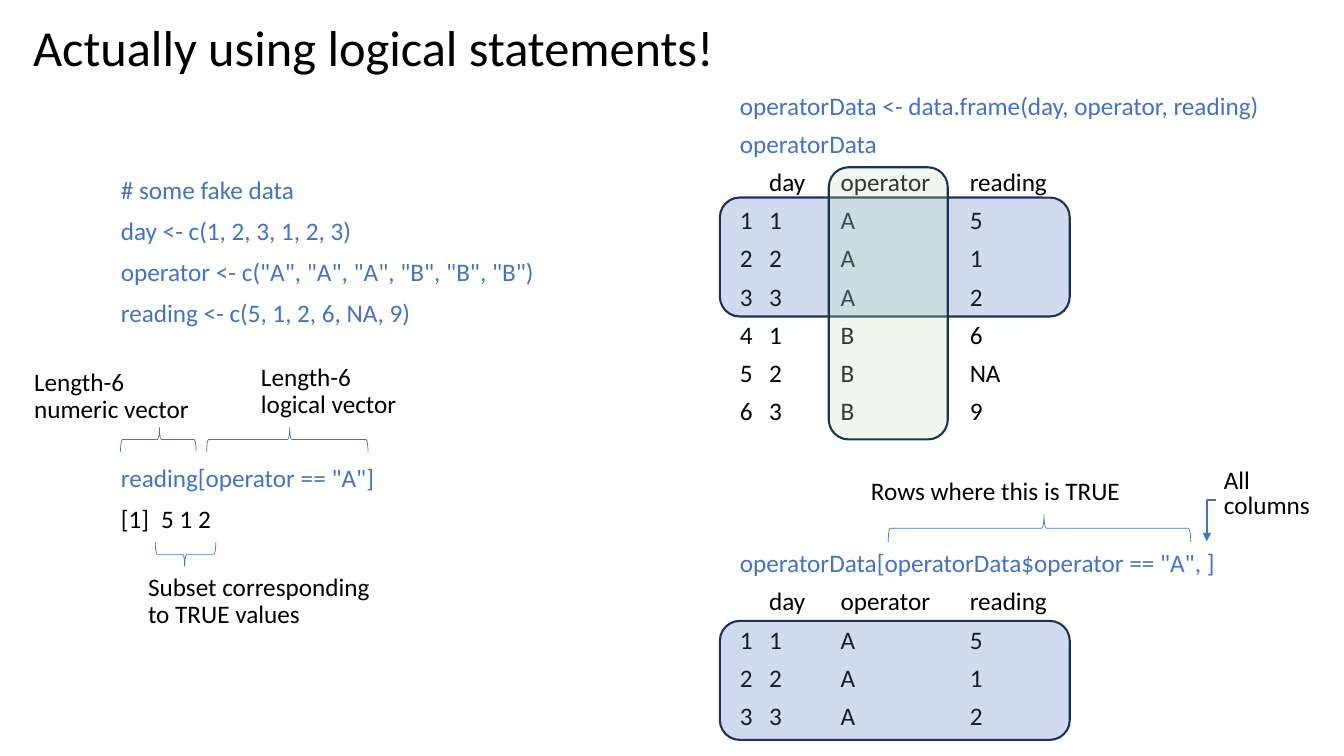
import dataclasses

import pptx
import pptx.dml.color
import pptx.enum.shapes
import pptx.enum.text
import pptx.oxml
import pptx.oxml.ns
import pptx.util

Inches = pptx.util.Inches
Pt = pptx.util.Pt
ShapeKind = pptx.enum.shapes.MSO_SHAPE
Anchor = pptx.enum.text.MSO_ANCHOR


@dataclasses.dataclass(frozen=True)
class Theme:
    font: str = "Calibri"
    title_size: int = 36
    body_size: int = 18
    text: str = "000000"
    code: str = "4472C4"
    rows: str = "4472C4"
    column: str = "C5E0B4"
    outline: str = "1E3256"
    opacity: int = 25
    thin: float = 0.5
    thick: float = 1.5


THEME = Theme()
COLUMN_TABS = (0.29, 1.0, 2.28)
HEADER = "\tday\toperator\treading"
A_ROWS = ("1\t1\tA\t5", "2\t2\tA\t1", "3\t3\tA\t2")
B_ROWS = ("4\t1\tB\t6", "5\t2\tB\tNA", "6\t3\tB\t9")


def rgb(value):
    return pptx.dml.color.RGBColor.from_string(value)


def add_child(parent, tag, **attributes):
    child = pptx.oxml.ns.qn(tag)
    element = parent.makeelement(child, attributes)
    parent.append(element)
    return element


def add_tab_stops(paragraph, positions):
    tab_list = add_child(paragraph._p.get_or_add_pPr(), "a:tabLst")
    for position in positions:
        add_child(tab_list, "a:tab", pos=str(Inches(position)), algn="l")


def add_text(slide, box, lines, size=THEME.body_size, spacing=0.9, tabs=(),
             anchor=Anchor.TOP):
    shape = slide.shapes.add_textbox(*map(Inches, box))
    text_frame = shape.text_frame
    text_frame.word_wrap = True
    text_frame.vertical_anchor = anchor
    text_frame.text = "\n".join(text for text, color in lines)
    for paragraph, (text, color) in zip(text_frame.paragraphs, lines):
        paragraph.line_spacing = spacing
        paragraph.space_before = Pt(10)
        if tabs and "\t" in text:
            add_tab_stops(paragraph, tabs)
        for run in paragraph.runs:
            run.font.name = THEME.font
            run.font.size = Pt(size)
            run.font.color.rgb = rgb(color)


def add_label(slide, box, text, spacing=0.9):
    add_text(slide, box, [(text, THEME.text)], spacing=spacing)


def code_lines(*texts):
    return [(text, THEME.code) for text in texts]


def output_lines(*texts):
    return [(text, THEME.text) for text in texts]


def add_brace(slide, center_x, center_y, span, depth, rotation):
    shape = slide.shapes.add_shape(
        ShapeKind.RIGHT_BRACE, Inches(center_x - depth / 2),
        Inches(center_y - span / 2), Inches(depth), Inches(span))
    shape.adjustments[0] = 0.08
    shape.adjustments[1] = 0.515
    shape.rotation = rotation
    shape.shadow.inherit = False
    shape.fill.background()
    shape.line.color.rgb = rgb(THEME.code)
    shape.line.width = Pt(THEME.thin)


def add_highlight(slide, box, color):
    shape = slide.shapes.add_shape(ShapeKind.ROUNDED_RECTANGLE, *map(Inches, box))
    shape.shadow.inherit = False
    shape.fill.solid()
    shape.fill.fore_color.rgb = rgb(color)
    fill_color = shape._element.spPr.find(".//" + pptx.oxml.ns.qn("a:srgbClr"))
    add_child(fill_color, "a:alpha", val=str(THEME.opacity * 1000))
    shape.line.color.rgb = rgb(THEME.outline)
    shape.line.width = Pt(THEME.thick)


def add_bent_arrow(slide, begin, end):
    connector = slide.shapes.add_connector(
        pptx.enum.shapes.MSO_CONNECTOR.ELBOW, *map(Inches, begin + end))
    connector.line.color.rgb = rgb(THEME.code)
    connector.line.width = Pt(THEME.thick)
    properties = connector._element.spPr
    properties.find(pptx.oxml.ns.qn("a:prstGeom")).set("prst", "bentConnector2")
    add_child(connector.line._get_or_add_ln(), "a:tailEnd", type="triangle")
    add_child(properties, "a:effectLst")


def add_vector_example(slide):
    add_text(slide, (1.1, 1.71, 4.59, 1.7), code_lines(
        "# some fake data",
        "day <- c(1, 2, 3, 1, 2, 3)",
        'operator <- c("A", "A", "A", "B", "B", "B")',
        "reading <- c(5, 1, 2, 6, NA, 9)"))
    add_text(slide, (1.1, 4.57, 4.59, 0.8),
             code_lines('reading[operator == "A"]') + output_lines("[1]\t5 1 2"),
             tabs=(0.4,))
    add_label(slide, (0.24, 3.62, 1.82, 0.73), "Length-6 numeric vector")
    add_label(slide, (2.49, 3.57, 1.58, 0.73), "Length-6 logical vector")
    add_label(slide, (1.37, 5.65, 2.45, 0.69), "Subset corresponding to TRUE values")
    add_brace(slide, 1.57, 4.36, 0.75, 0.24, 270)
    add_brace(slide, 2.85, 4.36, 1.6, 0.24, 270)
    add_brace(slide, 1.84, 5.5, 0.6, 0.24, 90)


def add_data_frame_example(slide):
    add_text(slide, (7.24, 0.9, 5.54, 3.5),
             code_lines("operatorData <- data.frame(day, operator, reading)",
                        "operatorData")
             + output_lines(HEADER, *A_ROWS, *B_ROWS),
             spacing=0.8, tabs=COLUMN_TABS)
    add_text(slide, (7.24, 5.44, 5.54, 2.0),
             code_lines('operatorData[operatorData$operator == "A", ]')
             + output_lines(HEADER, *A_ROWS),
             spacing=0.8, tabs=COLUMN_TABS)
    add_label(slide, (8.54, 4.7, 2.88, 0.4), "Rows where this is TRUE")
    add_label(slide, (12.04, 4.62, 1.11, 0.6), "All columns", spacing=0.8)
    add_brace(slide, 10.31, 5.24, 3, 0.27, 270)
    add_bent_arrow(slide, (12.06, 4.96), (11.97, 5.37))
    for top in (1.96, 6.16):
        add_highlight(slide, (7.14, top, 3.47, 1.18), THEME.rows)
    add_highlight(slide, (8.22, 1.66, 1.18, 2.7), THEME.column)


def main():
    presentation = pptx.Presentation()
    presentation.slide_width = Inches(13.33)
    presentation.slide_height = Inches(7.5)
    slide = presentation.slides.add_slide(presentation.slide_layouts[6])
    add_text(slide, (0.23, 0, 12.45, 1),
             output_lines("Actually using logical statements!"),
             size=THEME.title_size, anchor=Anchor.MIDDLE)
    add_vector_example(slide)
    add_data_frame_example(slide)
    presentation.save("out.pptx")


if __name__ == "__main__":
    main()
